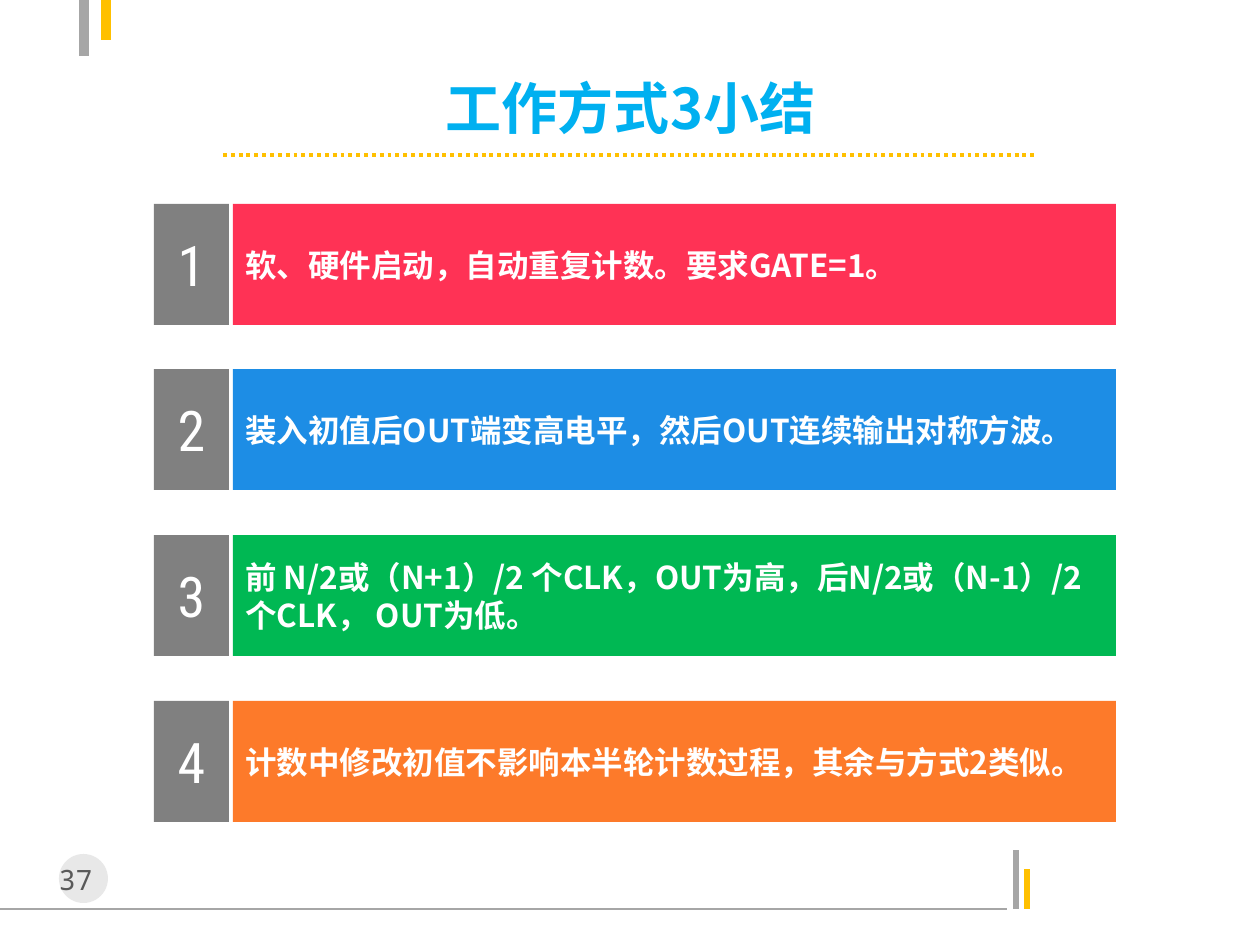
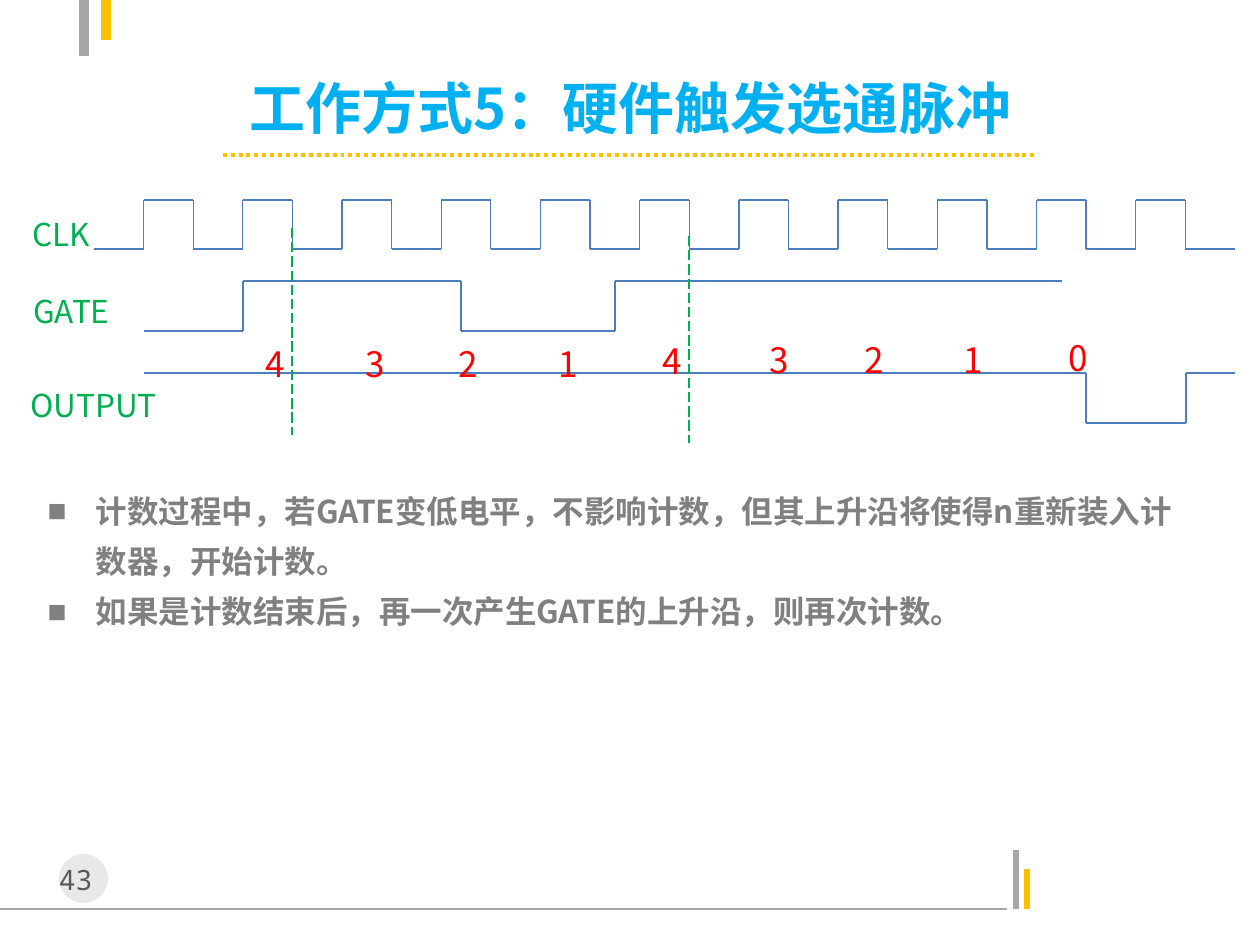
"""Build two slides on counter modes: a summary of mode 3 and the timing of mode 5."""
import itertools

import pptx
import pptx.dml.color
import pptx.enum.dml
import pptx.enum.shapes
import pptx.enum.text
import pptx.oxml.ns
import pptx.oxml.xmlchemy
import pptx.util
from lxml import etree

SANS, MONO, SLIM = "Noto Sans CJK SC", "Noto Sans Mono", "Roboto Condensed"
GREY, GOLD, WHITE, SKY = "A6A6A6", "FFC000", "FFFFFF", "00B0F0"
GREEN, RED, BLUE, SLATE = "00B050", "FF0000", "4B7EBC", "808080"

CARDS = [
    ("软、硬件启动，自动重复计数。要求GATE=1。", "FF3255"),
    ("装入初值后OUT端变高电平，然后OUT连续输出对称方波。", "1D8DE5"),
    ("前 N/2或（N+1）/2 个CLK，OUT为高，后N/2或（N-1）/2 个CLK， OUT为低。", "00B853"),
    ("计数中修改初值不影响本半轮计数过程，其余与方式2类似。", "FD7A2A"),
]
NOTES = [
    "计数过程中，若GATE变低电平，不影响计数，但其上升沿将使得n重新装入计数器，开始计数。",
    "如果是计数结束后，再一次产生GATE的上升沿，则再次计数。",
]
LABELS = [("CLK", 20, 198, 106), ("GATE", 21, 275, 106), ("OUTPUT", 18, 369, 174)]
COUNTS = [("4", 253, 324), ("3", 353, 324), ("2", 446, 324), ("1", 546, 324),
          ("4", 650, 321), ("3", 757, 320), ("2", 852, 320), ("1", 951, 320),
          ("0", 1056, 318)]
GATE = [(144, 331), (243, 331), (243, 281), (461, 281),
        (461, 331), (615, 331), (615, 281), (1062, 281)]
OUTPUT = [(144, 373), (1086, 373), (1086, 423), (1186, 423), (1186, 373), (1235, 373)]
GUIDES = [((292, 228), (292, 435)), ((689, 236), (689, 443))]
MARKS = [((0, 909), (1007, 909), GREY, 0.75), ((1016, 909), (1016, 850), GREY, 3),
         ((1027, 909), (1027, 869), GOLD, 3), ((84, 56), (84, 0), GREY, 6),
         ((106, 0), (106, 40), GOLD, 6)]

DASH = pptx.enum.dml.MSO_LINE
SHAPE = pptx.enum.shapes.MSO_SHAPE
ALIGN = pptx.enum.text.PP_ALIGN
MIDDLE = pptx.enum.text.MSO_ANCHOR.MIDDLE
qn = pptx.oxml.ns.qn


def px(*nums):
    return [pptx.util.Emu(round(n * 914400 / 126)) for n in nums]


def rgb(code):
    return pptx.dml.color.RGBColor.from_string(code)


def style(para, size, tint, face=SANS, bold=False, align=ALIGN.LEFT, lead=1.0):
    para.alignment, para.line_spacing = align, lead
    para.space_before = pptx.util.Pt(0)
    font = para.font
    font.size, font.bold = pptx.util.Pt(size), bold
    font.color.rgb, font.name = rgb(tint), face
    props = para._p.pPr.find(qn("a:defRPr"))
    etree.SubElement(props, qn("a:ea")).set("typeface", face)


def place(shape, box):
    shape.left, shape.top, shape.width, shape.height = px(*box)


def line(slide, start, end, tint, width, dash=None):
    link = slide.shapes.add_connector(
        pptx.enum.shapes.MSO_CONNECTOR.STRAIGHT, *px(*start, *end))
    link.line.color.rgb, link.line.width = rgb(tint), pptx.util.Pt(width)
    if dash:
        link.line.dash_style = dash
    etree.SubElement(link._element.spPr, qn("a:effectLst"))


def wave(slide, points):
    for start, end in itertools.pairwise(points):
        line(slide, start, end, BLUE, 0.75)


def block(slide, kind, box, tint):
    shape = slide.shapes.add_shape(kind, *px(*box))
    shape.shadow.inherit = False
    shape.fill.solid()
    shape.fill.fore_color.rgb = rgb(tint)
    shape.line.fill.background()
    return shape


def tile(slide, box, tint, text, *args, **kwargs):
    frame = block(slide, SHAPE.RECTANGLE, box, tint).text_frame
    frame.word_wrap, frame.vertical_anchor = True, MIDDLE
    frame.text = text
    style(frame.paragraphs[0], *args, **kwargs)


def label(slide, box, text, *args, **kwargs):
    frame = slide.shapes.add_textbox(*px(*box)).text_frame
    frame.word_wrap = True
    frame.text = text
    style(frame.paragraphs[0], *args, **kwargs)


def start(deck, layout, title, page):
    slide = deck.slides.add_slide(deck.slide_layouts[layout])
    for mark in MARKS:
        line(slide, *mark)
    disc = block(slide, SHAPE.OVAL, (59, 854, 49, 49), "BFBFBF")
    fill = disc._element.spPr.find(qn("a:solidFill"))
    etree.SubElement(fill[0], qn("a:alpha")).set("val", "35000")
    label(slide, (39, 856, 90, 47), page, 16, "595959", MONO, align=ALIGN.CENTER)
    head = slide.shapes.title
    place(head, (174, 76, 913, 63))
    frame = head.text_frame
    frame.text, frame.word_wrap, frame.vertical_anchor = title, False, MIDDLE
    frame.auto_size = pptx.enum.text.MSO_AUTO_SIZE.NONE
    style(frame.paragraphs[0], 32, SKY, bold=True, align=ALIGN.CENTER)
    line(slide, (223, 155), (1037, 155), GOLD, 2.25, DASH.ROUND_DOT)
    return slide


def recap(deck):
    slide = start(deck, 5, "工作方式3小结", "37 ")
    for i, (text, tint) in enumerate(CARDS):
        top = 204 + i * 497 // 3
        tile(slide, (154, top, 75, 121), SLATE, str(i + 1), 32, WHITE, SLIM,
             align=ALIGN.CENTER)
        tile(slide, (233, top, 883, 121), tint, text, 18, WHITE, bold=True)


def timing(deck):
    slide = start(deck, 1, "工作方式5：硬件触发选通脉冲", "43 ")
    edges = [94 + 1141 * k / 23 for k in range(24)]
    clock = [(x, (249, 200)[k % 2])
             for k, pair in enumerate(itertools.pairwise(edges)) for x in pair]
    for points in (clock, GATE, OUTPUT):
        wave(slide, points)
    for ends in GUIDES:
        line(slide, *ends, GREEN, 0.75, DASH.LONG_DASH)
    for text, left, top, width in LABELS:
        label(slide, (left, top, width, 57), text, 18, GREEN, lead=1.29)
    for text, left, top in COUNTS:
        label(slide, (left, top, 44, 62), text, 20, RED, lead=1.29)
    body = slide.placeholders[1]
    place(body, (35, 473, 1178, 160))
    frame = body.text_frame
    frame.text = "\n".join(NOTES)
    frame.auto_size = pptx.enum.text.MSO_AUTO_SIZE.NONE
    indent = px(48)[0]
    for para in frame.paragraphs:
        props = para._p.get_or_add_pPr()
        props.set("marL", str(indent))
        props.set("indent", str(-indent))
        etree.SubElement(props, qn("a:buChar")).set("char", "■")
        style(para, 18, SLATE, bold=True, lead=1.33)


def main():
    deck = pptx.Presentation()
    deck.slide_width, deck.slide_height = px(1260, 945)
    recap(deck)
    timing(deck)
    deck.save("out.pptx")


if __name__ == "__main__":
    main()
